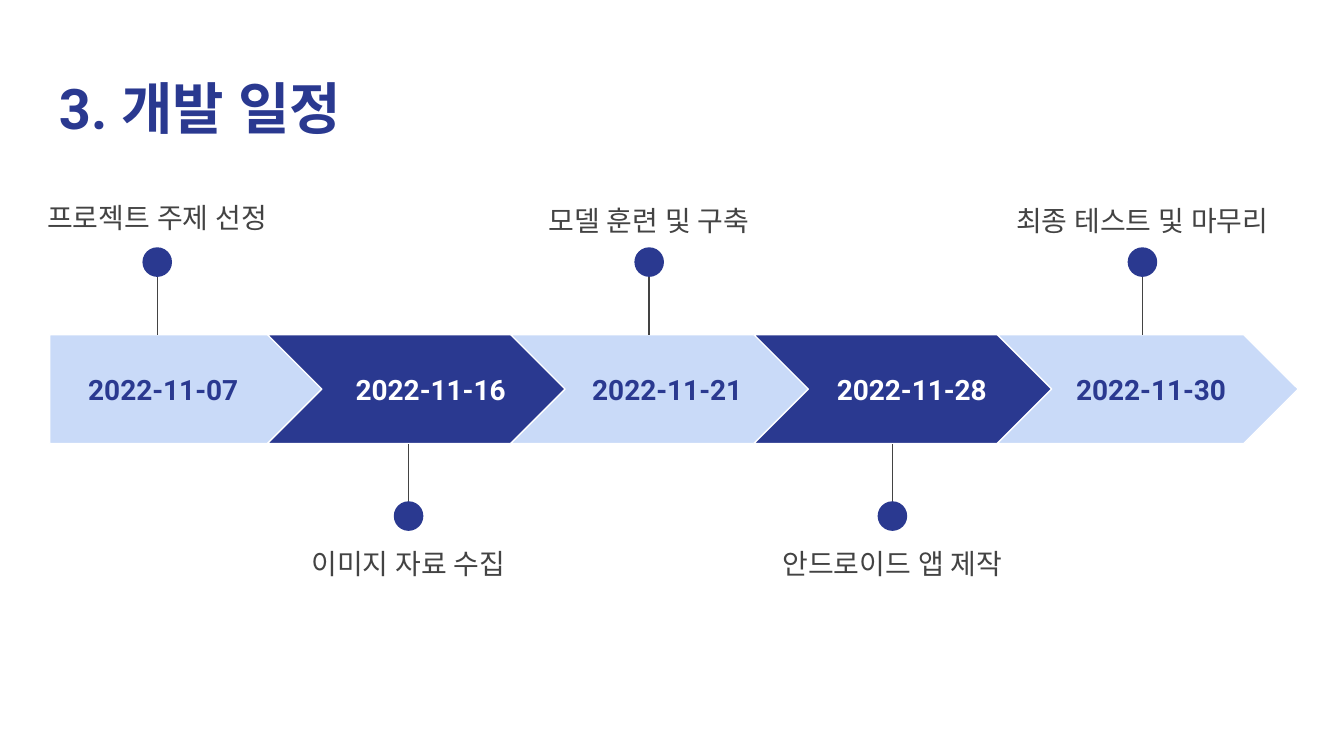
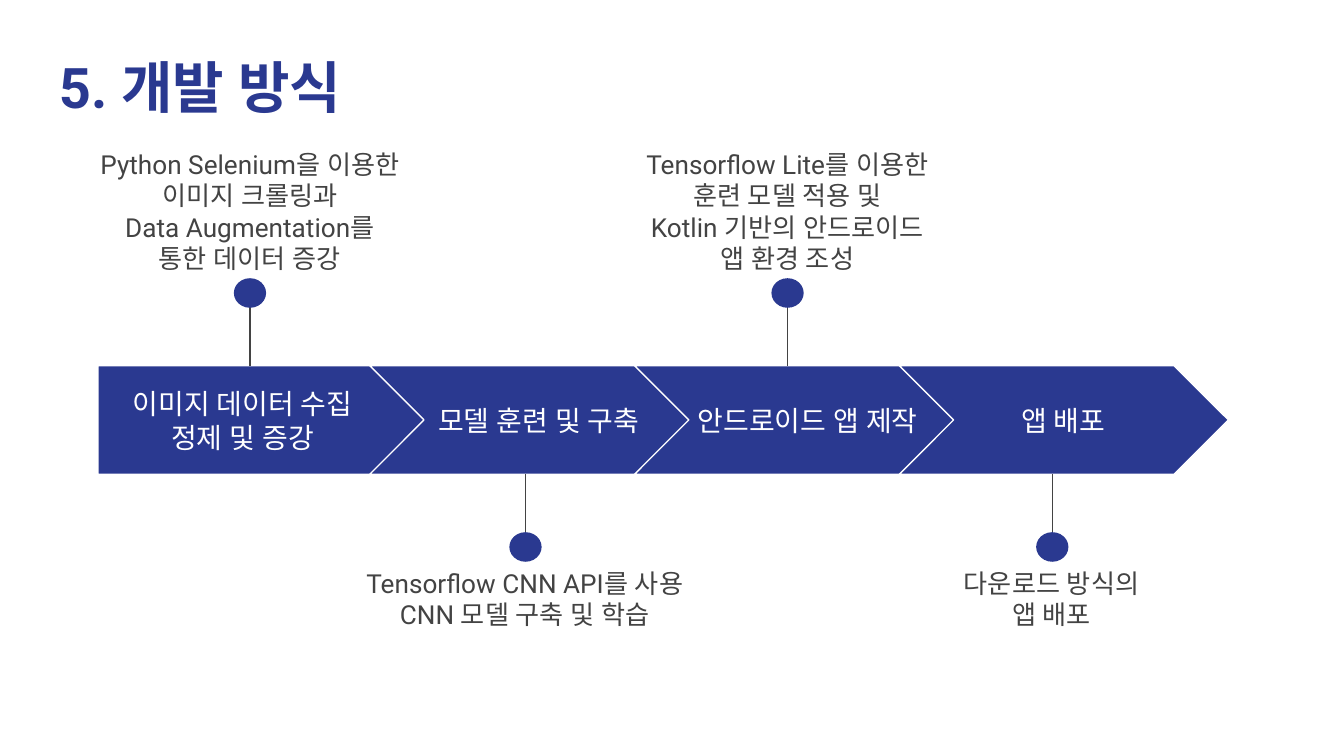
from dataclasses import dataclass

from lxml.etree import SubElement
from pptx import Presentation
from pptx.dml.color import RGBColor
from pptx.enum.shapes import MSO_CONNECTOR, MSO_SHAPE
from pptx.enum.text import MSO_ANCHOR, PP_ALIGN
from pptx.oxml.ns import qn
from pptx.util import Inches, Pt


# Theme
@dataclass(frozen=True)
class Theme:
    font: str = "Roboto"
    navy: str = "2A3990"
    pale: str = "C9DAF8"
    white: str = "FFFFFF"
    gray: str = "434343"
    title_size: int = 30
    label_size: int = 15
    note_size: int = 14
    line_width: float = 0.75


@dataclass(frozen=True)
class Step:
    """One arrow: its label, the pin on it, and the caption at the pin."""
    label: str
    label_left: float
    label_width: float
    pin: float
    caption: str
    caption_left: float
    caption_width: float
    caption_spacing: float = 1.0


@dataclass(frozen=True)
class Timeline:
    """Places and type of one row of arrows."""
    left: float
    top: float
    first_width: float
    second_left: float
    pitch: float
    width: float
    fills: tuple
    label_colors: tuple
    label_bold: bool
    dot_width: float
    caption_size: int
    upper: tuple  # top and height of captions above the row
    lower: tuple  # top and height of captions below the row


ARROW_HEIGHT = 0.81
DOT_HEIGHT = 0.22
PIN_LENGTH = 0.6
DOT_OVERHANG = 0.05


class Painter:
    def __init__(self, deck, theme):
        self.deck = deck
        self.theme = theme
        self.page = None

    def new_page(self, title, top):
        self.page = self.deck.slides.add_slide(self.deck.slide_layouts[6])
        self.text(title, 0.34, top, 9.32, 0.66, self.theme.title_size,
                  self.theme.navy, bold=True, align=PP_ALIGN.LEFT,
                  anchor=MSO_ANCHOR.TOP)

    def text(self, words, left, top, width, height, size, color, bold=False,
             align=PP_ALIGN.CENTER, anchor=MSO_ANCHOR.MIDDLE, spacing=1.0):
        box = self.page.shapes.add_textbox(
            Inches(left), Inches(top), Inches(width), Inches(height))
        frame = box.text_frame
        frame.word_wrap = True
        frame.vertical_anchor = anchor
        frame.margin_left = frame.margin_right = Inches(0.1)
        frame.margin_top = frame.margin_bottom = Inches(0.1)
        frame.text = words
        for paragraph in frame.paragraphs:
            paragraph.alignment = align
            paragraph.line_spacing = spacing
            font = paragraph.font
            font.name = self.theme.font
            font.size = Pt(size)
            font.bold = bold
            font.color.rgb = RGBColor.from_string(color)
            # Same typeface for Korean letters
            defaults = paragraph._p.pPr.find(qn("a:defRPr"))
            SubElement(defaults, qn("a:ea"), typeface=self.theme.font)

    def shape(self, kind, left, top, width, height, fill, outline=None):
        shape = self.page.shapes.add_shape(
            kind, Inches(left), Inches(top), Inches(width), Inches(height))
        shape.shadow.inherit = False
        shape.fill.solid()
        shape.fill.fore_color.rgb = RGBColor.from_string(fill)
        if outline:
            shape.line.color.rgb = RGBColor.from_string(outline)
            shape.line.width = Pt(self.theme.line_width)
        else:
            shape.line.fill.background()

    def pin(self, center, row_top, above, dot_width):
        if above:
            edge = row_top
            end = edge - PIN_LENGTH
            dot_top = end - DOT_OVERHANG
        else:
            edge = row_top + ARROW_HEIGHT
            end = edge + PIN_LENGTH
            dot_top = end + DOT_OVERHANG - DOT_HEIGHT
        line = self.page.shapes.add_connector(
            MSO_CONNECTOR.STRAIGHT, Inches(center), Inches(end),
            Inches(center), Inches(edge))
        line.line.color.rgb = RGBColor.from_string(self.theme.gray)
        line.line.width = Pt(self.theme.line_width)
        SubElement(line._element.spPr, qn("a:effectLst"))
        self.shape(MSO_SHAPE.OVAL, center - dot_width / 2, dot_top,
                   dot_width, DOT_HEIGHT, self.theme.navy)

    def timeline(self, row, steps):
        for index, step in enumerate(steps):
            # Arrow and its label
            if index == 0:
                kind, left, width = MSO_SHAPE.PENTAGON, row.left, row.first_width
            else:
                kind, width = MSO_SHAPE.CHEVRON, row.width
                left = row.second_left + (index - 1) * row.pitch
            shade = index % len(row.fills)
            self.shape(kind, left, row.top, width, ARROW_HEIGHT,
                       row.fills[shade], self.theme.white)
            self.text(step.label, step.label_left, row.top + 0.15,
                      step.label_width, 0.51, self.theme.label_size,
                      row.label_colors[shade], row.label_bold)
            # Pin and caption, above and below by turns
            above = index % 2 == 0
            self.pin(step.pin, row.top, above, row.dot_width)
            top, height = row.upper if above else row.lower
            self.text(step.caption, step.caption_left, top,
                      step.caption_width, height, row.caption_size,
                      self.theme.gray, spacing=step.caption_spacing)


def main():
    # Widescreen pages, 16 to 9
    deck = Presentation()
    deck.slide_width = Inches(10)
    deck.slide_height = Inches(10) * 9 // 16
    theme = Theme()
    painter = Painter(deck, theme)

    # Schedule
    painter.new_page("3. 개발 일정", 0.45)
    schedule = Timeline(
        left=0.37, top=2.49, first_width=2.05, second_left=1.99, pitch=1.81,
        width=2.24, fills=(theme.pale, theme.navy),
        label_colors=(theme.navy, theme.white), label_bold=True,
        dot_width=0.22, caption_size=theme.label_size,
        upper=(1.4, 0.44), lower=(3.95, 0.44))
    painter.timeline(schedule, [
        Step("2022-11-07", 0.37, 1.69, 1.17, "프로젝트 주제 선정", 0.13, 2.08),
        Step("2022-11-16", 2.33, 1.75, 3.04, "이미지 자료 수집", 1.89, 2.3, 1.15),
        Step("2022-11-21", 3.99, 1.95, 4.83, "모델 훈련 및 구축", 3.68, 2.3, 1.15),
        Step("2022-11-28", 5.81, 1.95, 6.64, "안드로이드 앱 제작", 5.49, 2.3, 1.15),
        Step("2022-11-30", 7.64, 1.85, 8.5, "최종 테스트 및 마무리", 7.35, 2.3, 1.15),
    ])

    # Method
    painter.new_page("5. 개발 방식", 0.29)
    method = Timeline(
        left=0.73, top=2.72, first_width=2.5, second_left=2.75, pitch=1.97,
        width=2.45, fills=(theme.navy,), label_colors=(theme.white,),
        label_bold=False, dot_width=0.24, caption_size=theme.note_size,
        upper=(1.08, 0.98), lower=(4.2, 0.51))
    painter.timeline(method, [
        Step("이미지 데이터 수집\n정제 및 증강", 0.77, 2.07, 1.86,
             "Python Selenium을 이용한 이미지 크롤링과\n"
             "Data Augmentation를 통한 데이터 증강", 0.64, 2.44),
        Step("모델 훈련 및 구축", 3.06, 1.9, 3.91,
             "Tensorflow CNN API를 사용\nCNN 모델 구축 및 학습", 2.43, 2.95),
        Step("안드로이드 앱 제작", 4.95, 2.12, 5.86,
             "Tensorflow Lite를 이용한\n훈련 모델 적용 및\n"
             "Kotlin 기반의 안드로이드\n앱 환경 조성", 4.58, 2.56),
        Step("앱 배포", 6.85, 2.12, 7.83,
             "다운로드 방식의\n앱 배포", 6.74, 2.17),
    ])

    deck.save("out.pptx")


if __name__ == "__main__":
    main()
